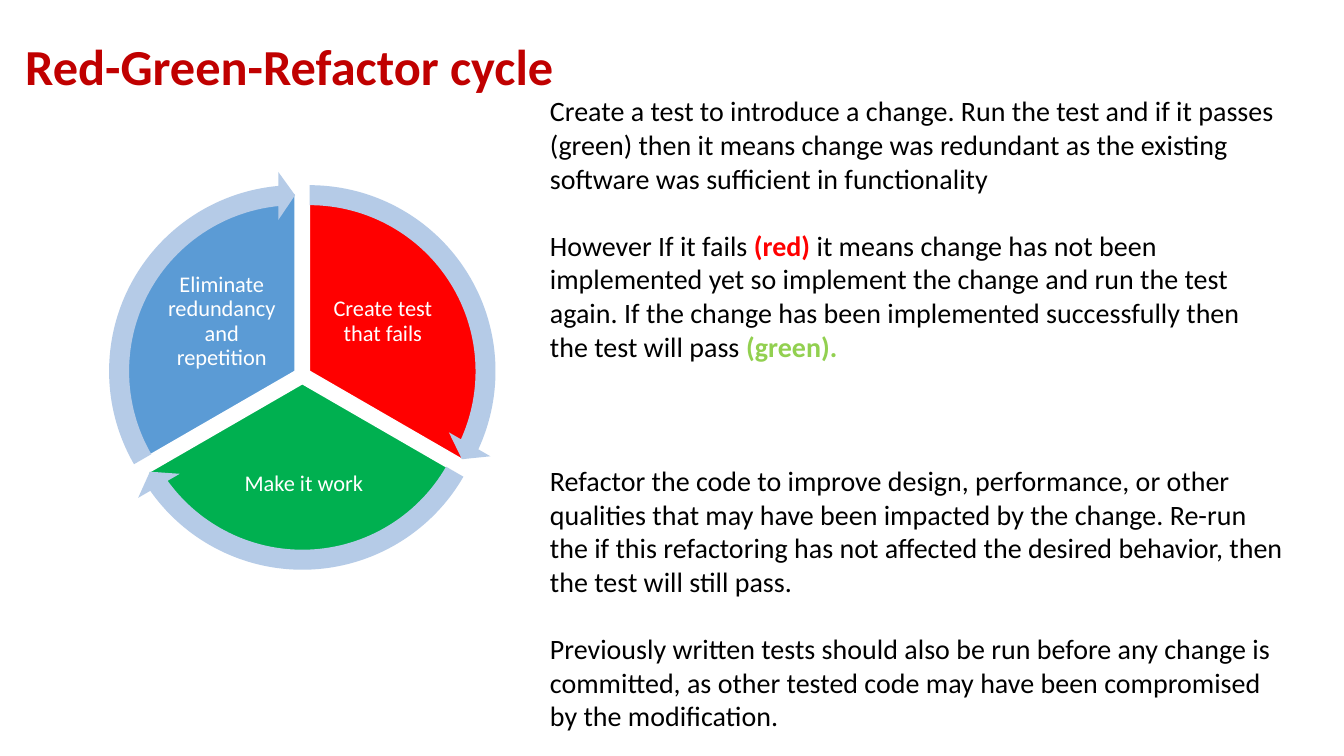
from dataclasses import dataclass
from math import cos, radians, sin

from pptx import Presentation
from pptx.dml.color import RGBColor
from pptx.enum import shapes, text
from pptx.util import Cm, Pt


@dataclass(frozen=True)
class Theme:
    font: str = "Calibri"
    title_size: int = 36
    body_size: int = 20
    label_size: int = 16
    title: str = "C00000"
    ink: str = "000000"
    white: str = "FFFFFF"
    red: str = "FF0000"
    green: str = "00B050"
    blue: str = "5B9BD5"
    arrow: str = "B5CBE7"
    pass_green: str = "92D050"


@dataclass(frozen=True)
class Step:
    label: str
    color: str
    start: int
    label_dx: float
    label_dy: float
    label_w: float
    label_h: float


@dataclass(frozen=True)
class Span:
    text: str
    color: str
    bold: bool = False


@dataclass(frozen=True)
class Para:
    spans: tuple[Span, ...]
    lines_before: int = 1


T = Theme()
CENTER_X, CENTER_Y = 7.62, 9.46
PIE, RING, GAP = 8.97, 10.08, 0.21
SWEEP, HEAD_ANGLE = 120, 5.46
BODY_LINE = 24

STEPS = (
    Step("Create test that fails", T.red, 270, 2.03, -1.35, 3.2, 2.67),
    Step("Make it work", T.green, 30, 0.04, 2.74, 4.8, 2.36),
    Step("Eliminate redundancy and repetition", T.blue, 150, -2.03, -1.35, 3.2, 2.67),
)

PARAS = (
    Para((Span("Create a test to introduce a change. Run the test and if it passes "
               "(green) then it means change was redundant as the existing software "
               "was sufficient in functionality", T.ink),), 0),
    Para((Span("However If it fails ", T.ink),
          Span("(red) ", T.red, True),
          Span("it means change has not been implemented yet so implement the change "
               "and run the test again. If the change has been implemented successfully "
               "then the test will pass ", T.ink),
          Span("(green).", T.pass_green, True))),
    Para((Span("Refactor the code to improve design, performance, or other qualities "
               "that may have been impacted by the change. Re-run the if this "
               "refactoring has not affected the desired behavior, then the test will "
               "still pass.", T.ink),), 3),
    Para((Span("Previously written tests should also be run before any change is "
               "committed, as other tested code may have been compromised by the "
               "modification.", T.ink),)),
)


def style(r, size: int, color: str, bold: bool = False) -> None:
    r.font.name = T.font
    r.font.size = Pt(size)
    r.font.bold = bold
    r.font.color.rgb = RGBColor.from_string(color)


def add_round(s, kind, step: Step, size: float, color: str, adjustments):
    middle = radians(step.start + SWEEP / 2)
    left = CENTER_X + GAP * cos(middle) - size / 2
    top = CENTER_Y + GAP * sin(middle) - size / 2
    sp = s.shapes.add_shape(kind, Cm(left), Cm(top), Cm(size), Cm(size))
    for i, value in enumerate(adjustments):
        sp.adjustments[i] = value
    sp.shadow.inherit = False
    sp.fill.solid()
    sp.fill.fore_color.rgb = RGBColor.from_string(color)
    sp.line.fill.background()
    return sp


def add_sector(s, step: Step) -> None:
    end = (step.start + SWEEP) % 360
    sp = add_round(s, shapes.MSO_SHAPE.PIE, step, PIE, step.color,
                   (step.start * 0.6, end * 0.6))
    sp.line.color.rgb = RGBColor.from_string(T.white)
    sp.line.width = Pt(1)


def add_label(s, step: Step) -> None:
    left = CENTER_X + step.label_dx - step.label_w / 2
    top = CENTER_Y + step.label_dy - step.label_h / 2
    tf = s.shapes.add_textbox(Cm(left), Cm(top), Cm(step.label_w), Cm(step.label_h)).text_frame
    tf.word_wrap = True
    tf.vertical_anchor = text.MSO_ANCHOR.MIDDLE
    tf.margin_left = tf.margin_right = tf.margin_top = tf.margin_bottom = Cm(0.05)
    tf.text = step.label
    p = tf.paragraphs[0]
    p.alignment = text.PP_ALIGN.CENTER
    p.line_spacing = 0.9
    style(p.runs[0], T.label_size, T.white)


def add_arrow(s, step: Step) -> None:
    end = (step.start + SWEEP) % 360 - HEAD_ANGLE
    add_round(s, shapes.MSO_SHAPE.CIRCULAR_ARROW, step, RING, T.arrow,
              (0.05, HEAD_ANGLE * 0.6, end * 0.6, step.start * 0.6, 0.06))


def add_title(s, title: str) -> None:
    sp = s.shapes.title
    sp.left, sp.top, sp.width, sp.height = Cm(0.38), Cm(0.66), Cm(29.21), Cm(2.18)
    tf = sp.text_frame
    tf.text = title
    tf.auto_size = text.MSO_AUTO_SIZE.NONE
    tf.vertical_anchor = text.MSO_ANCHOR.MIDDLE
    p = tf.paragraphs[0]
    p.alignment = text.PP_ALIGN.LEFT
    p.line_spacing = 0.9
    style(p.runs[0], T.title_size, T.title, True)


def add_body(s, paras: tuple[Para, ...]) -> None:
    tf = s.shapes.add_textbox(Cm(13.61), Cm(2.24), Cm(19), Cm(16.51)).text_frame
    tf.word_wrap = True
    for i, para in enumerate(paras):
        p = tf.add_paragraph() if i else tf.paragraphs[0]
        p.space_before = Pt(BODY_LINE * para.lines_before)
        for span in para.spans:
            r = p.add_run()
            r.text = span.text
            style(r, T.body_size, span.color, span.bold)


prs = Presentation()
prs.slide_width, prs.slide_height = Cm(33.87), Cm(19.05)
s = prs.slides.add_slide(prs.slide_layouts.get_by_name("Title Only"))
add_title(s, "Red-Green-Refactor cycle")
for step in STEPS:
    add_sector(s, step)
    add_label(s, step)
for step in STEPS:
    add_arrow(s, step)
add_body(s, PARAS)
prs.save("out.pptx")
